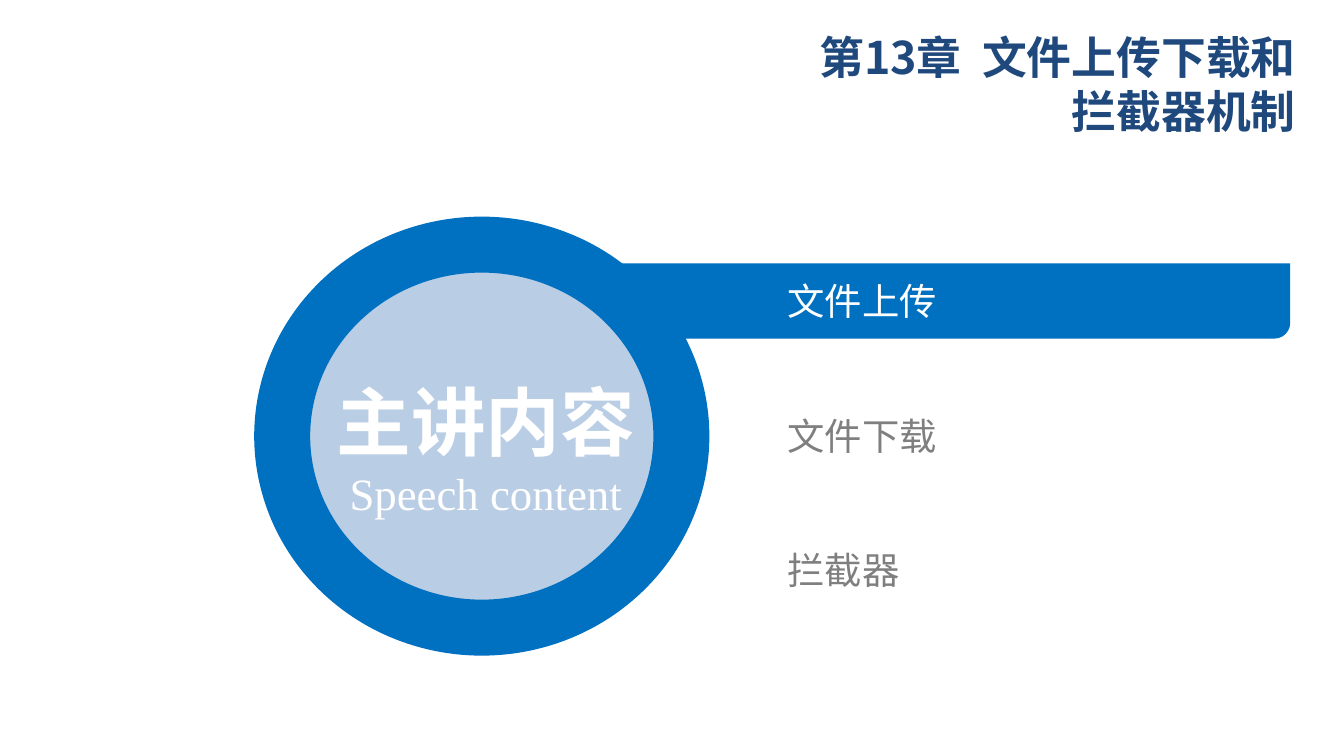
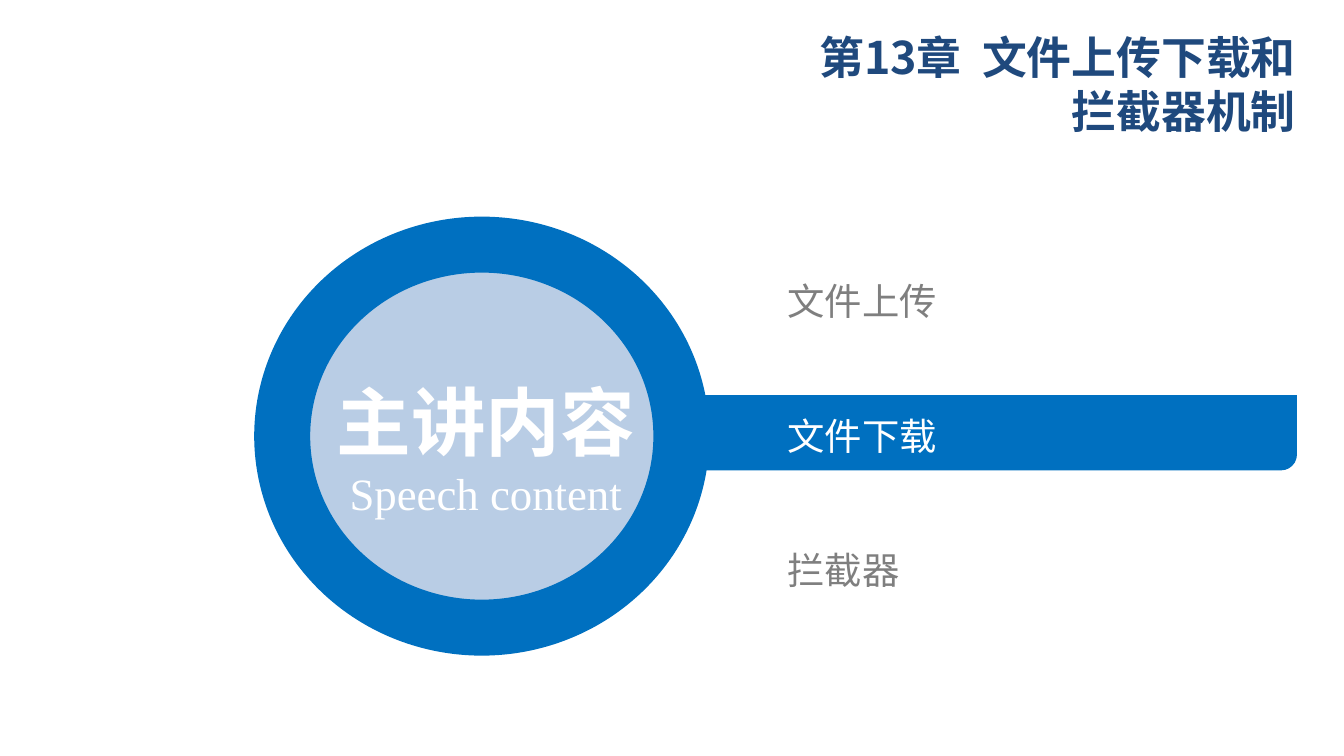
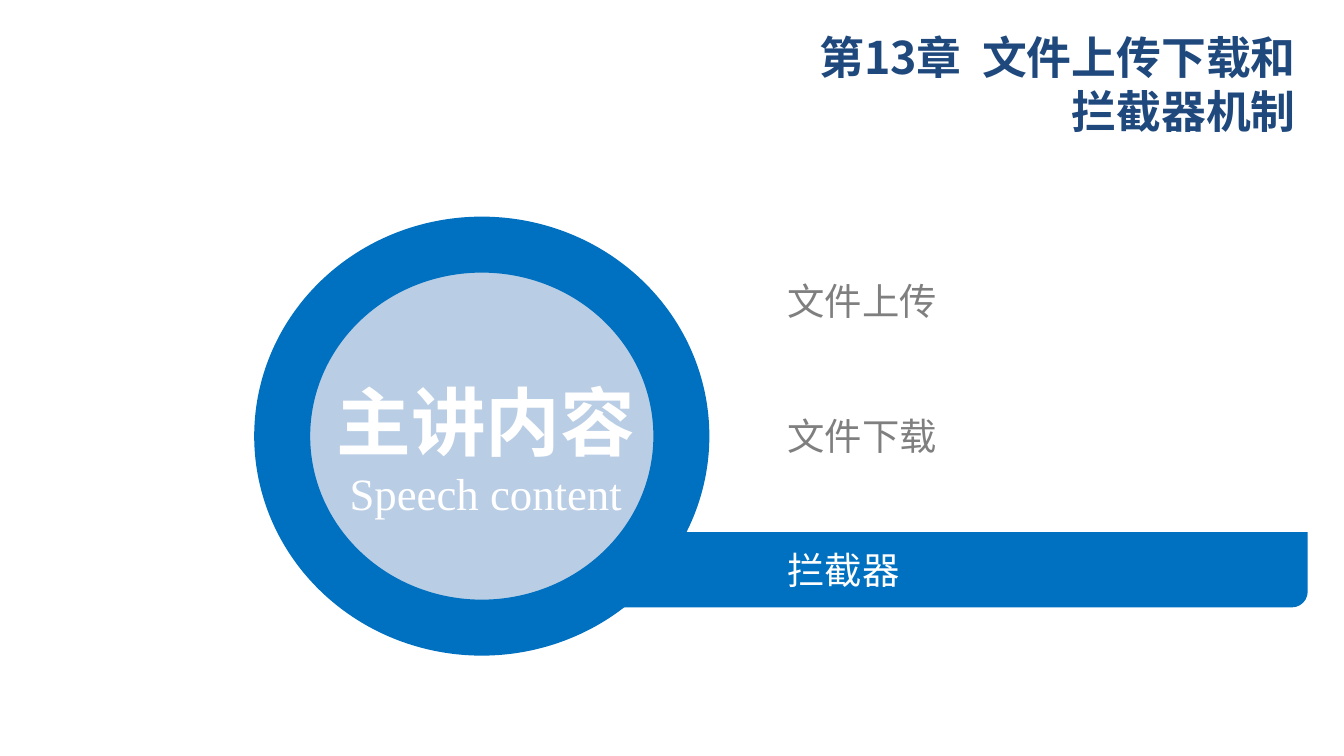
from dataclasses import dataclass

from lxml.etree import SubElement
from pptx import Presentation
from pptx.dml.color import RGBColor as Color
from pptx.enum.shapes import MSO_SHAPE as Shape
from pptx.enum.text import MSO_ANCHOR as Anchor, MSO_AUTO_SIZE as AutoSize, PP_ALIGN as Align
from pptx.oxml.ns import qn
from pptx.util import Inches, Pt


@dataclass(frozen=True)
class Theme:
    navy: Color = Color.from_string("1F497D")
    blue: Color = Color.from_string("0070C0")
    pale: Color = Color.from_string("B9CDE5")
    gray: Color = Color.from_string("7F7F7F")
    white: Color = Color.from_string("FFFFFF")
    chinese: str = "Noto Sans CJK SC"
    english: str = "Times New Roman"
    heading: int = 40
    title: int = 24
    topic: int = 20
    ring: int = 30


theme = Theme()


def add_box(shapes, left, top, width, height, inset_x=0.1, inset_y=0.05):
    box = shapes.add_textbox(Inches(left), Inches(top), Inches(width), Inches(height))
    frame = box.text_frame
    frame.word_wrap = True
    frame.vertical_anchor = Anchor.MIDDLE
    frame.margin_left = frame.margin_right = Inches(inset_x)
    frame.margin_top = frame.margin_bottom = Inches(inset_y)
    return frame


def add_span(para, text, size, color, font=theme.chinese, bold=False):
    span = para.add_run()
    span.text = text
    span.font.name = font
    span.font.size = Pt(size)
    span.font.bold = bold
    span.font.color.rgb = color
    SubElement(span.font._element, qn("a:ea"), typeface=font)


# Widescreen page, 16:9
deck = Presentation()
deck.slide_width = Inches(10)
deck.slide_height = Inches(10) * 9 // 16
blank = deck.slide_layouts[6]

# Each topic: name, width of its label, left and top of its highlight bar
topics = [
    ("文件上传", 3.63, 3.62, 1.96),
    ("文件下载", 3.63, 3.67, 2.94),
    ("拦截器", 3.82, 3.75, 3.96),
]

# One slide per topic, with that topic highlighted
for active, (_, _, bar_left, bar_top) in enumerate(topics):
    page = deck.slides.add_slide(blank)

    # Chapter title
    frame = add_box(page.shapes, 5.79, 0.31, 3.94, 0.63, 0.09, 0.04)
    para = frame.paragraphs[0]
    para.alignment = Align.RIGHT
    add_span(para, "第13章  文件上传下载和拦截器机制", theme.title, theme.navy, bold=True)

    # Highlight bar, running under the ring
    bar = page.shapes.add_shape(Shape.ROUND_2_DIAG_RECTANGLE, Inches(bar_left), Inches(bar_top),
                                Inches(5.98), Inches(0.56))
    bar.adjustments[0], bar.adjustments[1] = 0.21, 0
    bar.fill.solid()
    bar.fill.fore_color.rgb = theme.blue
    bar.line.fill.background()
    bar.shadow.inherit = False

    # Ring with its heading
    emblem = page.shapes.add_group_shape()
    ring = emblem.shapes.add_shape(Shape.OVAL, Inches(2.1), Inches(1.82), Inches(2.97), Inches(2.85))
    ring.fill.solid()
    ring.fill.fore_color.rgb = theme.pale
    ring.line.color.rgb = theme.blue
    ring.line.width = Pt(theme.ring)
    ring.shadow.inherit = False

    frame = add_box(emblem.shapes, 2.08, 2.44, 3.07, 1.45)
    frame.auto_size = AutoSize.SHAPE_TO_FIT_TEXT
    para = frame.paragraphs[0]
    para.alignment = Align.CENTER
    para.line_spacing = 1.5
    add_span(para, "主讲内容", theme.heading, theme.white, bold=True)
    para = frame.add_paragraph()
    para.alignment = Align.CENTER
    add_span(para, "Speech content", theme.title, theme.white, theme.english)

    # Topic labels, one inch apart
    for row, (name, width, _, _) in enumerate(topics):
        frame = add_box(page.shapes, 5.86, 2.07 + row, width, 0.34, 0, 0)
        frame.auto_size = AutoSize.SHAPE_TO_FIT_TEXT
        color = theme.white if row == active else theme.gray
        add_span(frame.paragraphs[0], name, theme.topic, color)

deck.save("out.pptx")
